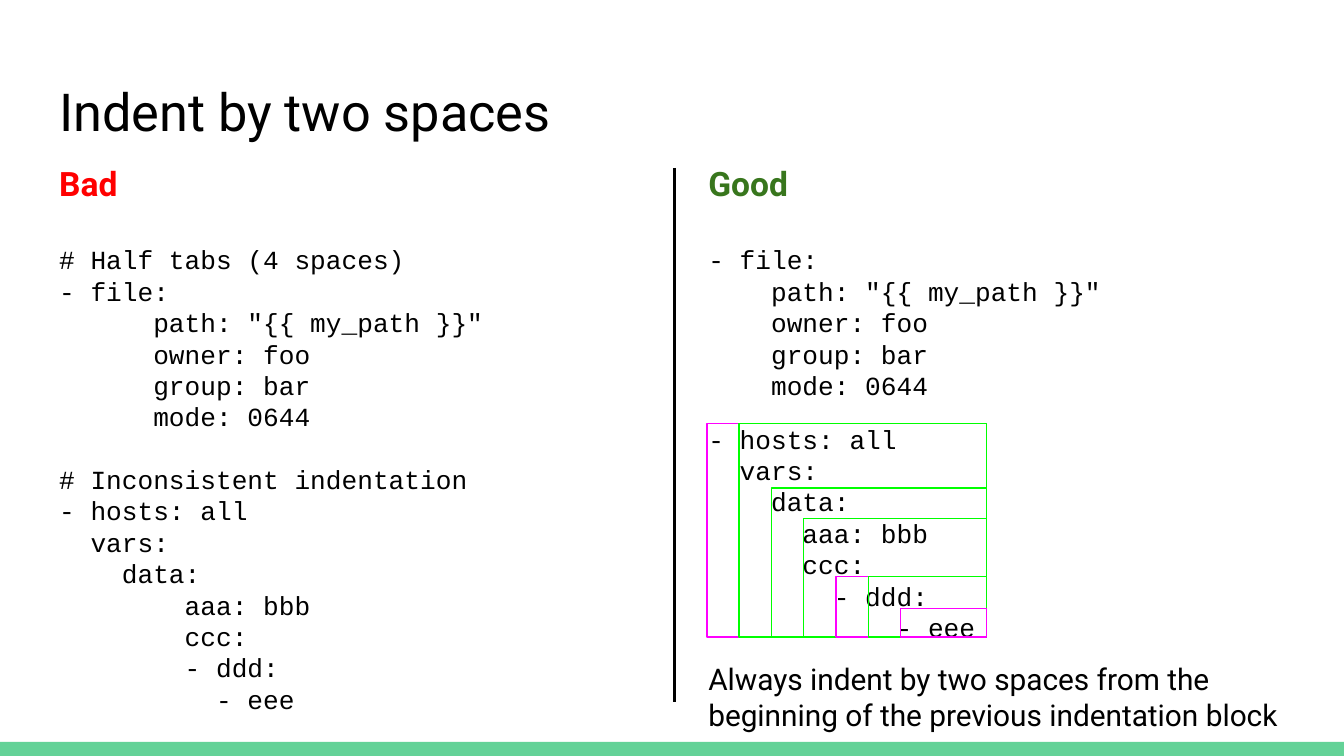
from dataclasses import dataclass

from pptx import Presentation
from pptx.dml.color import RGBColor
from pptx.enum.shapes import MSO_CONNECTOR, MSO_SHAPE
from pptx.enum.text import MSO_ANCHOR, MSO_AUTO_SIZE, PP_ALIGN
from pptx.oxml.ns import qn
from pptx.util import Inches, Pt


@dataclass(frozen=True)
class Style:
    """Size and exact line height are in points."""
    font: str
    size: float
    line_height: float
    color: str = "000000"
    bold: bool = False


class Theme:
    title = Style("Roboto", 28, 33.4)
    bad = Style("Roboto", 18, 22, "FF0000", True)
    good = Style("Roboto", 18, 22, "38761D", True)
    code = Style("Courier New", 14, 16.8)
    note = Style("Roboto", 16, 19.3)
    black = "000000"
    footer = "63D297"
    list_block = "FF00FF"
    map_block = "00FF00"


BAD_FILE = """# Half tabs (4 spaces)
- file:
      path: "{{ my_path }}"
      owner: foo
      group: bar
      mode: 0644"""

BAD_HOSTS = """# Inconsistent indentation
- hosts: all
  vars:
    data:
        aaa: bbb
        ccc:
        - ddd:
          - eee"""

GOOD_FILE = """- file:
    path: "{{ my_path }}"
    owner: foo
    group: bar
    mode: 0644"""

GOOD_HOSTS = """- hosts: all
  vars:
    data:
      aaa: bbb
      ccc:
        - ddd:
            - eee"""

NOTE = "Always indent by two spaces from the beginning of the previous indentation block"


def place(shape, left, top, width, height):
    shape.left, shape.top = Inches(left), Inches(top)
    shape.width, shape.height = Inches(width), Inches(height)


def write_blocks(shape, blocks):
    """Write (text, style, points before) blocks, one paragraph a line."""
    frame = shape.text_frame
    frame.word_wrap = True
    frame.auto_size = MSO_AUTO_SIZE.NONE
    frame.vertical_anchor = MSO_ANCHOR.TOP
    frame.margin_left = frame.margin_right = Inches(0.1)
    frame.margin_top = frame.margin_bottom = Inches(0.1)
    lines = [(line, style, gap if number == 0 else 0)
             for text, style, gap in blocks
             for number, line in enumerate(text.splitlines())]
    for index, (line, style, gap) in enumerate(lines):
        paragraph = frame.add_paragraph() if index else frame.paragraphs[0]
        paragraph.alignment = PP_ALIGN.LEFT
        paragraph.line_spacing = Pt(style.line_height)
        paragraph.space_before, paragraph.space_after = Pt(gap), Pt(0)
        properties = paragraph._p.get_or_add_pPr()
        properties.set("marL", "0")
        properties.set("indent", "0")
        properties.append(properties.makeelement(qn("a:buNone"), {}))
        run = paragraph.add_run()
        run.text = line
        run.font.name = style.font
        run.font.size = Pt(style.size)
        run.font.bold = style.bold
        run.font.color.rgb = RGBColor.from_string(style.color)


presentation = Presentation()
presentation.slide_width = Inches(10)
presentation.slide_height = Inches(10) * 9 // 16
slide = presentation.slides.add_slide(presentation.slide_layouts[3])
title, bad_column, good_column = slide.placeholders

# Footer bar, behind everything else
footer = slide.shapes.add_shape(
    MSO_SHAPE.RECTANGLE, Inches(0), Inches(5.52), Inches(10), Inches(0.11))
footer.shadow.inherit = False
footer.fill.solid()
footer.fill.fore_color.rgb = RGBColor.from_string(Theme.footer)
footer.line.fill.background()
slide.shapes._spTree.insert(2, footer._element)

# Title and the two columns
place(title, 0.34, 0.49, 9.32, 0.63)
write_blocks(title, [("Indent by two spaces", Theme.title, 0)])

place(bad_column, 0.34, 1.11, 4.66, 4.51)
write_blocks(bad_column, [
    ("Bad", Theme.bad, 0),
    (BAD_FILE, Theme.code, 21.5),
    (BAD_HOSTS, Theme.code, 16.8),
])

place(good_column, 5.17, 1.11, 4.83, 4.51)
write_blocks(good_column, [
    ("Good", Theme.good, 0),
    (GOOD_FILE, Theme.code, 21.5),
    (GOOD_HOSTS, Theme.code, 12),
    (NOTE, Theme.note, 9.4),
])

# Divider between the columns
divider = slide.shapes.add_connector(
    MSO_CONNECTOR.STRAIGHT, Inches(5.02), Inches(1.25), Inches(5.02), Inches(5.22))
divider.line.color.rgb = RGBColor.from_string(Theme.black)
divider.line.width = Pt(1.5)
divider_properties = divider._element.spPr
divider_properties.append(divider_properties.makeelement(qn("a:effectLst"), {}))

# Nested blocks: each starts two characters further in, all share one corner
first_left, indent, right, bottom = 5.26, 0.24, 7.34, 4.74
nested_blocks = [
    (3.15, Theme.list_block),
    (3.15, Theme.map_block),
    (3.63, Theme.map_block),
    (3.86, Theme.map_block),
    (4.29, Theme.list_block),
    (4.29, Theme.map_block),
    (4.53, Theme.list_block),
]
for level, (top, color) in enumerate(nested_blocks):
    left = first_left + level * indent
    block = slide.shapes.add_shape(
        MSO_SHAPE.RECTANGLE, Inches(left), Inches(top),
        Inches(right - left), Inches(bottom - top))
    block.shadow.inherit = False
    block.fill.background()
    block.line.color.rgb = RGBColor.from_string(color)
    block.line.width = Pt(0.75)

presentation.save("out.pptx")
